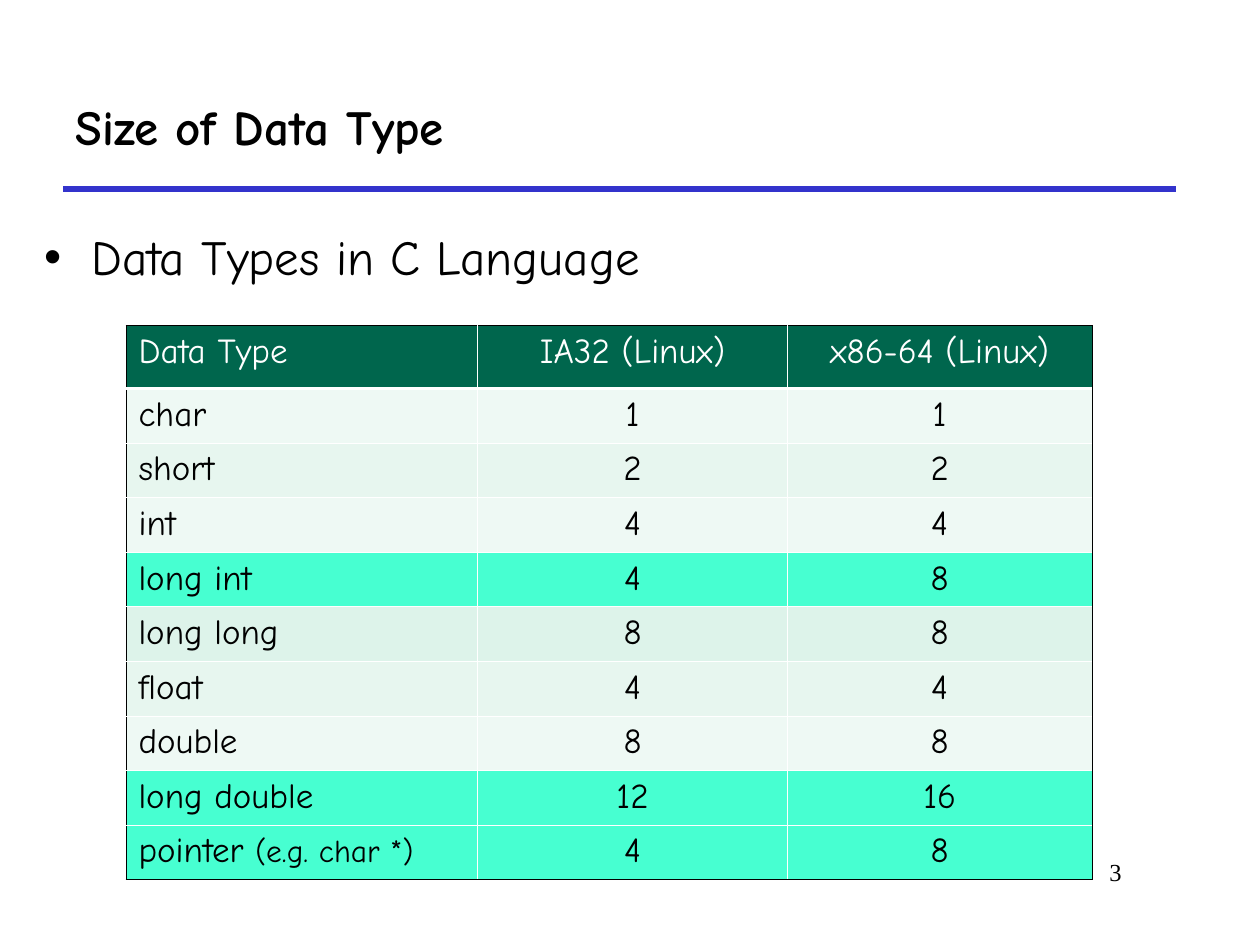
import lxml.etree
import pptx
import pptx.dml.color
import pptx.enum.shapes
import pptx.enum.text
import pptx.oxml.ns
import pptx.util

Pt = pptx.util.Pt
ALIGN = pptx.enum.text.PP_ALIGN
BLACK = pptx.dml.color.RGBColor(0x00, 0x00, 0x00)
WHITE = pptx.dml.color.RGBColor(0xFF, 0xFF, 0xFF)
BLUE = pptx.dml.color.RGBColor(0x33, 0x33, 0xCC)
HEADER_GREEN = pptx.dml.color.RGBColor(0x00, 0x66, 0x4D)
PALE = pptx.dml.color.RGBColor(0xEE, 0xF9, 0xF4)
LIGHT = pptx.dml.color.RGBColor(0xE7, 0xF6, 0xEF)
MEDIUM = pptx.dml.color.RGBColor(0xDD, 0xF3, 0xEA)
HIGHLIGHT = pptx.dml.color.RGBColor(0x47, 0xFF, 0xD1)
FONT = "Comic Neue"
NUMBER_FONT = "Times New Roman"

HAIRLINE = 0.45
HEADER_RULE = 1.47
COLUMN_WIDTHS = (201, 177, 174)
HEADER_HEIGHT = 36
ROW_HEIGHT = 31.2
SIZES = (
    (HEADER_GREEN, "Data Type", "IA32 (Linux)", "x86-64 (Linux)"),
    (PALE, "char", "1", "1"),
    (LIGHT, "short", "2", "2"),
    (PALE, "int", "4", "4"),
    (HIGHLIGHT, "long int", "4", "8"),
    (MEDIUM, "long long", "8", "8"),
    (LIGHT, "float", "4", "4"),
    (PALE, "double", "8", "8"),
    (HIGHLIGHT, "long double", "12", "16"),
    (HIGHLIGHT, "pointer ", "4", "8"),
)
POINTER_NOTE = "(e.g. char *)"


def add_xml(parent, tag, **attributes):
    """Append a DrawingML element to the parent and return it."""
    return lxml.etree.SubElement(parent, pptx.oxml.ns.qn(tag), attributes)


def format_runs(paragraph, size, color=BLACK, bold=False, name=FONT):
    """Give every run of the paragraph the same font."""
    for run in paragraph.runs:
        run.font.name = name
        run.font.size = Pt(size)
        run.font.bold = bold
        run.font.color.rgb = color


def place(shape, left, top, width, height):
    """Move and size the shape, with lengths in points."""
    shape.left, shape.top = Pt(left), Pt(top)
    shape.width, shape.height = Pt(width), Pt(height)


def add_heading(slide, left, top, width, height):
    """Fill the title placeholder and draw the rule along its bottom edge."""
    title = slide.shapes.title
    place(title, left, top, width, height)
    frame = title.text_frame
    frame.text = "Size of Data Type"
    frame.auto_size = pptx.enum.text.MSO_AUTO_SIZE.NONE
    frame.vertical_anchor = pptx.enum.text.MSO_ANCHOR.MIDDLE
    frame.paragraphs[0].alignment = ALIGN.LEFT
    format_runs(frame.paragraphs[0], 28, bold=True)

    bottom = Pt(top + height)
    rule = slide.shapes.add_connector(
        pptx.enum.shapes.MSO_CONNECTOR.STRAIGHT,
        Pt(left), bottom, Pt(left + width), bottom)
    rule.line.color.rgb = BLUE
    rule.line.width = Pt(3)
    add_xml(rule._element.spPr, "a:effectLst")


def add_topic(slide, left, top, width, height):
    """Fill the body placeholder with its bulleted line."""
    body = slide.placeholders[1]
    place(body, left, top, width, height)
    frame = body.text_frame
    frame.text = "Data Types in C Language"
    frame.auto_size = pptx.enum.text.MSO_AUTO_SIZE.NONE
    paragraph = frame.paragraphs[0]
    paragraph.space_before = Pt(0)
    properties = paragraph._p.get_or_add_pPr()
    properties.set("marL", str(Pt(27)))
    properties.set("indent", str(-Pt(27)))
    add_xml(add_xml(properties, "a:buClr"), "a:srgbClr", val=str(BLACK))
    add_xml(properties, "a:buChar", char="•")
    format_runs(paragraph, 28)


def set_borders(cell, edges):
    """Draw the left, right, top and bottom edges from (color, width) pairs."""
    properties = cell._tc.get_or_add_tcPr()
    for position, (side, (color, width)) in enumerate(zip("LRTB", edges)):
        line = add_xml(properties, f"a:ln{side}", w=str(Pt(width)))
        add_xml(add_xml(line, "a:solidFill"), "a:srgbClr", val=str(color))
        properties.insert(position, line)


def add_size_table(slide, left, top):
    """Add the table of data type sizes, framed in black and ruled in white."""
    row_count, column_count = len(SIZES), len(COLUMN_WIDTHS)
    height = HEADER_HEIGHT + ROW_HEIGHT * (row_count - 1)
    table = slide.shapes.add_table(
        row_count, column_count, Pt(left), Pt(top),
        Pt(sum(COLUMN_WIDTHS)), Pt(height)).table
    for column, width in zip(table.columns, COLUMN_WIDTHS):
        column.width = Pt(width)

    outer, inner, header = (BLACK, HAIRLINE), (WHITE, HAIRLINE), (WHITE, HEADER_RULE)
    rules = [outer, header] + [inner] * (row_count - 2) + [outer]
    for i, (fill, *texts) in enumerate(SIZES):
        table.rows[i].height = Pt(ROW_HEIGHT if i else HEADER_HEIGHT)
        for j, text in enumerate(texts):
            cell = table.cell(i, j)
            cell.fill.solid()
            cell.fill.fore_color.rgb = fill
            cell.text_frame.text = text
            paragraph = cell.text_frame.paragraphs[0]
            paragraph.alignment = ALIGN.CENTER if j else ALIGN.LEFT
            format_runs(paragraph, 20, BLACK if i else WHITE)
            set_borders(cell, (
                inner if j else outer,
                inner if j < column_count - 1 else outer,
                rules[i], rules[i + 1]))

    paragraph = table.cell(row_count - 1, 0).text_frame.paragraphs[0]
    note = paragraph.add_run()
    note.text = POINTER_NOTE
    format_runs(paragraph, 20)
    note.font.size = Pt(18)


def add_slide_number(slide, left, top, width, height):
    """Add the right-aligned slide number."""
    box = slide.shapes.add_textbox(Pt(left), Pt(top), Pt(width), Pt(height))
    box.text_frame.word_wrap = True
    box.text_frame.text = "3"
    paragraph = box.text_frame.paragraphs[0]
    paragraph.alignment = ALIGN.RIGHT
    format_runs(paragraph, 14, name=NUMBER_FONT)


def main():
    """Build and save the presentation."""
    presentation = pptx.Presentation()
    presentation.slide_width, presentation.slide_height = Pt(720), Pt(540)
    slide = presentation.slides.add_slide(presentation.slide_layouts[1])
    add_heading(slide, 36, 36, 636, 72)
    add_topic(slide, 18, 126, 684, 348)
    add_size_table(slide, 72, 186)
    add_slide_number(slide, 546, 486, 102, 36)
    presentation.save("out.pptx")


if __name__ == "__main__":
    main()
